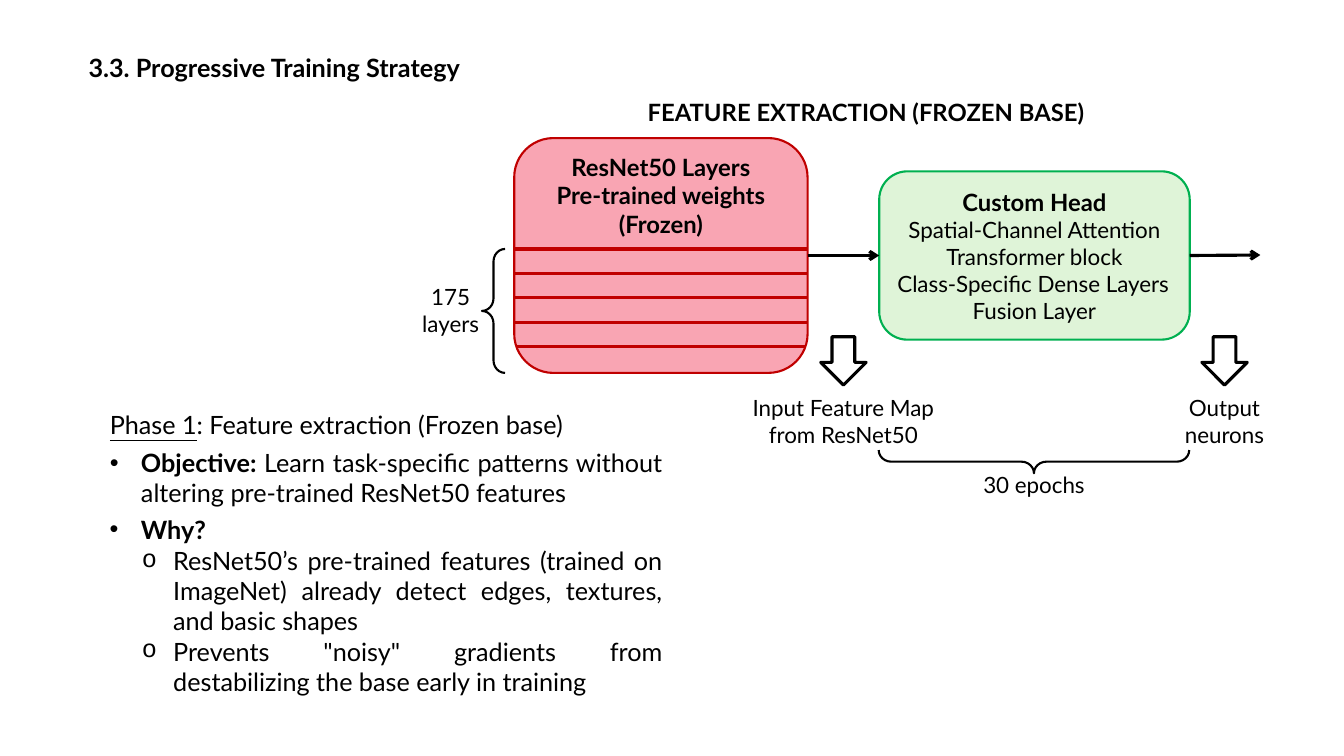
"""Build the progressive training strategy slide."""
import dataclasses
import typing

import lxml.etree
import pptx
import pptx.dml.color
import pptx.enum.shapes
import pptx.enum.text
import pptx.oxml.ns
import pptx.util

Inches = pptx.util.Inches
Shape = pptx.enum.shapes.MSO_SHAPE
Align = pptx.enum.text.PP_ALIGN
Anchor = pptx.enum.text.MSO_ANCHOR
qn = pptx.oxml.ns.qn
RIGHT_SIDE, LEFT_SIDE = 3, 1


@dataclasses.dataclass(frozen=True)
class Theme:
    font: str = "Lato"
    ink: str = "000000"
    paper: str = "FFFFFF"
    frozen_fill: str = "F9A5B3"
    frozen_line: str = "C00000"
    head_fill: str = "DFF4D8"
    head_line: str = "00B050"
    body: int = 18
    heading: int = 17
    label: int = 16
    thin: float = 1.5
    thick: float = 2.25
    indent: float = 0.31


THEME = Theme()


class Span(typing.NamedTuple):
    text: str
    bold: bool = False
    underline: bool = False


class Para(typing.NamedTuple):
    spans: tuple[Span, ...]
    size: int = THEME.label
    align: Align = Align.CENTER
    bullet: str = ""


class Area(typing.NamedTuple):
    left: float
    top: float
    width: float
    height: float

    def lengths(self) -> list[int]:
        return [Inches(value) for value in self]


class TextItem(typing.NamedTuple):
    area: Area
    paras: tuple[Para, ...]


class ShapeItem(typing.NamedTuple):
    kind: Shape
    area: Area
    fill: str = ""
    line: str = THEME.ink
    weight: float = THEME.thin
    adjustment: float | None = None
    rotation: int = 0


def label(text: str) -> Para:
    return Para((Span(text),))


def heading(text: str) -> Para:
    return Para((Span(text, bold=True),), THEME.heading)


def bullet(mark: str, *spans: Span) -> Para:
    return Para(spans, THEME.body, Align.JUSTIFY, mark)


def plain(*spans: Span) -> Para:
    return Para(spans, THEME.body, Align.LEFT)


TEXTS = (
    TextItem(Area(0.78, 0.47, 4.53, 0.4), (plain(Span("3.3. Progressive Training Strategy", bold=True)),)),
    TextItem(Area(0.99, 4.01, 5.68, 0.4), (
        plain(Span("Phase 1", underline=True), Span(": Feature extraction (Frozen base)")),)),
    TextItem(Area(0.99, 4.39, 5.68, 0.71), (
        bullet("•", Span("Objective: ", bold=True),
               Span("Learn task-specific patterns without altering pre-trained ResNet50 features")),)),
    TextItem(Area(0.99, 5.05, 5.8, 0.4), (bullet("•", Span("Why?", bold=True)),)),
    TextItem(Area(1.31, 5.36, 5.36, 1.62), (
        bullet("o", Span("ResNet50’s pre-trained features (trained on ImageNet) already detect "
                         "edges, textures, and basic shapes")),
        bullet("o", Span('Prevents "noisy" gradients from destabilizing the base early in training')))),
    TextItem(Area(6.01, 0.92, 5.16, 0.39), (heading("FEATURE EXTRACTION (FROZEN BASE)"),)),
    TextItem(Area(3.93, 2.76, 1.08, 0.64), (label("175 layers"),)),
    TextItem(Area(7.28, 3.86, 2.17, 0.64), (label("Input Feature Map from ResNet50"),)),
    TextItem(Area(11.06, 3.86, 2.17, 0.64), (label("Output"), label("neurons"))),
    TextItem(Area(9.53, 4.63, 1.45, 0.37), (label("30 epochs"),)),
)
RESNET = ShapeItem(Shape.ROUNDED_RECTANGLE, Area(5.1, 1.37, 2.91, 2.33), THEME.frozen_fill, THEME.frozen_line)
RESNET_PARAS = (heading("ResNet50 Layers"), heading("Pre-trained weights (Frozen)"))
HEAD = ShapeItem(Shape.ROUNDED_RECTANGLE, Area(8.72, 1.7, 3.08, 1.67), THEME.head_fill, THEME.head_line)
HEAD_PARAS = (
    heading("Custom Head"),
    label("Spatial-Channel Attention"),
    label("Transformer block"),
    label("Class-Specific Dense Layers")._replace(align=Align.JUSTIFY),
    label("Fusion Layer"),
)
MARKERS = (
    ShapeItem(Shape.LEFT_BRACE, Area(4.78, 2.47, 0.23, 1.23), adjustment=0.54),
    ShapeItem(Shape.LEFT_BRACE, Area(10.14, 3.04, 0.23, 3.08), adjustment=0.54, rotation=270),
    *(ShapeItem(Shape.DOWN_ARROW, Area(left, 3.34, 0.45, 0.48), THEME.paper, weight=THEME.thick)
      for left in (8.14, 11.92)),
)
LAYER_INSETS = (0, 0, 0, 0, 0.03)
LAYER_TOP, LAYER_BOTTOM = 2.47, 3.44
FLOW_Y, FLOW_END = 2.53, 12.5


def color(value: str) -> pptx.dml.color.RGBColor:
    return pptx.dml.color.RGBColor.from_string(value)


def apply_format(target: typing.Any, values: dict[str, typing.Any]) -> None:
    for name, value in values.items():
        setattr(target, name, value)


def write_paras(frame: typing.Any, paras: tuple[Para, ...]) -> None:
    for index, para in enumerate(paras):
        paragraph = frame.paragraphs[0] if index == 0 else frame.add_paragraph()
        paragraph.alignment = para.align
        if para.bullet:
            properties = paragraph._p.get_or_add_pPr()
            properties.set("marL", str(Inches(THEME.indent)))
            properties.set("indent", str(-Inches(THEME.indent)))
            face = "Courier New" if para.bullet == "o" else "Arial"
            lxml.etree.SubElement(properties, qn("a:buFont"), typeface=face)
            lxml.etree.SubElement(properties, qn("a:buChar"), char=para.bullet)
        for span in para.spans:
            run = paragraph.add_run()
            run.text = span.text
            apply_format(run.font, {"name": THEME.font, "size": pptx.util.Pt(para.size),
                                    "bold": span.bold, "underline": span.underline})
            run.font.color.rgb = color(THEME.ink)


def draw_text(page: typing.Any, item: TextItem) -> None:
    frame = page.shapes.add_textbox(*item.area.lengths()).text_frame
    apply_format(frame, {"word_wrap": True, "auto_size": pptx.enum.text.MSO_AUTO_SIZE.SHAPE_TO_FIT_TEXT})
    write_paras(frame, item.paras)


def draw_shape(page: typing.Any, item: ShapeItem) -> typing.Any:
    shape = page.shapes.add_shape(item.kind, *item.area.lengths())
    shape.shadow.inherit = False
    shape.rotation = item.rotation
    if item.adjustment is not None:
        shape.adjustments[0] = item.adjustment
    if item.fill:
        shape.fill.solid()
        shape.fill.fore_color.rgb = color(item.fill)
    else:
        shape.fill.background()
    shape.line.color.rgb = color(item.line)
    shape.line.width = pptx.util.Pt(item.weight)
    return shape


def draw_line(page: typing.Any, left: float, right: float, top: float, ink: str, arrow: bool = False) -> typing.Any:
    line = page.shapes.add_connector(pptx.enum.shapes.MSO_CONNECTOR.STRAIGHT,
                                     Inches(left), Inches(top), Inches(right), Inches(top))
    line.line.color.rgb = color(ink)
    line.line.width = pptx.util.Pt(THEME.thick)
    if arrow:
        lxml.etree.SubElement(line.line._get_or_add_ln(), qn("a:tailEnd"), type="arrow")
    lxml.etree.SubElement(line._element.spPr, qn("a:effectLst"))
    return line


def draw_network(page: typing.Any) -> None:
    resnet, head = draw_shape(page, RESNET), draw_shape(page, HEAD)
    apply_format(resnet.text_frame, {"word_wrap": True, "vertical_anchor": Anchor.TOP, "margin_top": Inches(0.03)})
    apply_format(head.text_frame, {"word_wrap": True, "vertical_anchor": Anchor.MIDDLE})
    write_paras(resnet.text_frame, RESNET_PARAS)
    write_paras(head.text_frame, HEAD_PARAS)
    resnet_right = RESNET.area.left + RESNET.area.width
    head_right = HEAD.area.left + HEAD.area.width
    pitch = (LAYER_BOTTOM - LAYER_TOP) / (len(LAYER_INSETS) - 1)
    for index, inset in enumerate(LAYER_INSETS):
        draw_line(page, RESNET.area.left + inset, resnet_right - inset,
                  LAYER_TOP + index * pitch, THEME.frozen_line)
    feature_flow = draw_line(page, resnet_right, HEAD.area.left, FLOW_Y, THEME.ink, arrow=True)
    feature_flow.begin_connect(resnet, RIGHT_SIDE)
    feature_flow.end_connect(head, LEFT_SIDE)
    output_flow = draw_line(page, head_right, FLOW_END, FLOW_Y, THEME.ink, arrow=True)
    output_flow.begin_connect(head, RIGHT_SIDE)


def main() -> None:
    deck = pptx.Presentation()
    apply_format(deck, {"slide_width": Inches(13.33), "slide_height": Inches(7.5)})
    page = deck.slides.add_slide(deck.slide_layouts[6])
    draw_network(page)
    for marker in MARKERS:
        draw_shape(page, marker)
    for item in TEXTS:
        draw_text(page, item)
    deck.save("out.pptx")


if __name__ == "__main__":
    main()
